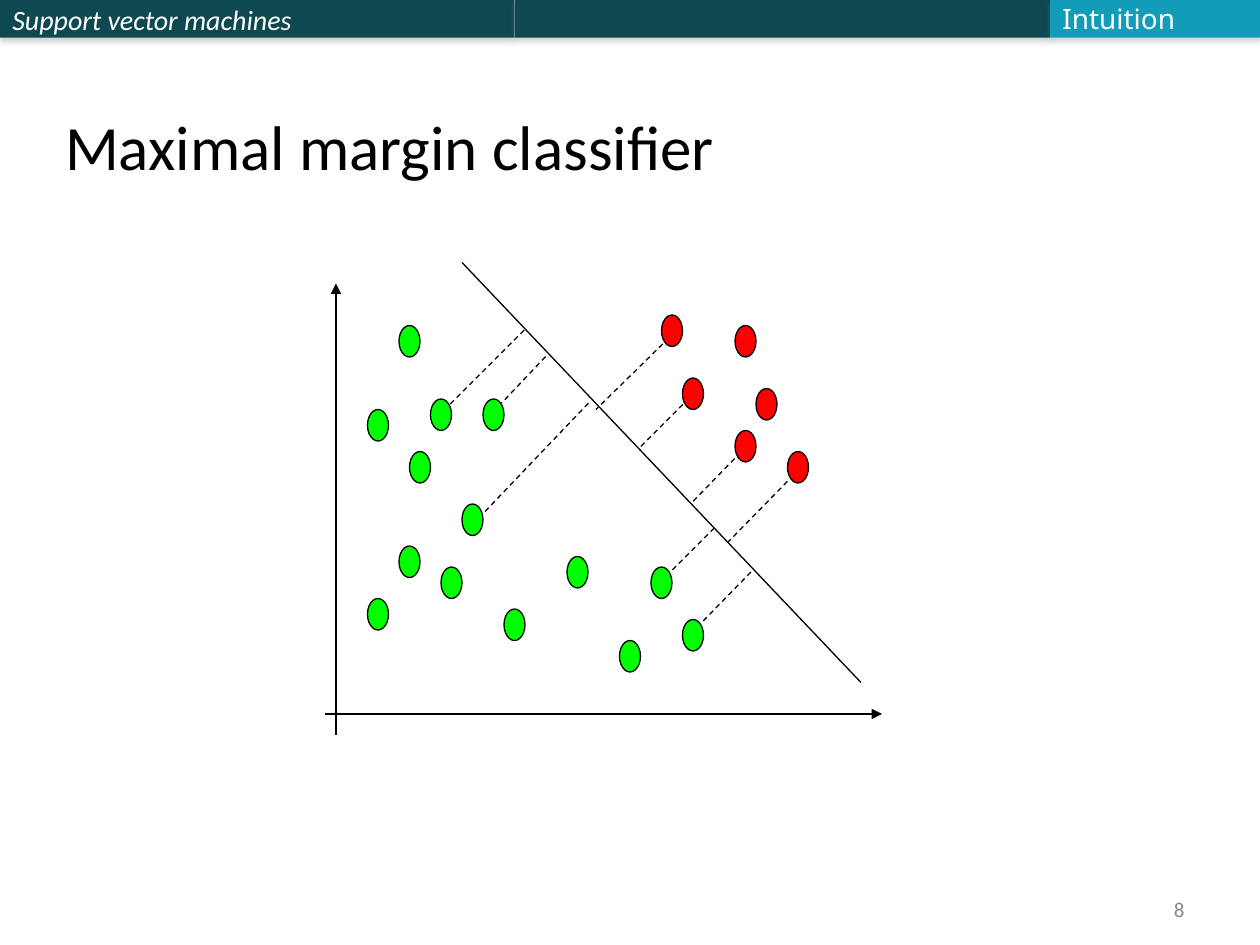
from lxml import etree
from pptx import Presentation
from pptx import util as u
from pptx.dml.color import RGBColor
from pptx.enum import dml, shapes, text
from pptx.oxml import parse_xml
from pptx.oxml.ns import nsdecls, qn

BLACK = RGBColor(0, 0, 0)
WHITE = RGBColor(0xFF, 0xFF, 0xFF)
PALE = RGBColor(0xFB, 0xFC, 0xFF)
GREY = RGBColor(0x89, 0x89, 0x89)
DARK = RGBColor(0x0E, 0x48, 0x51)
TEAL = RGBColor(0x13, 0x9C, 0xB7)
GREEN = RGBColor(0, 0xFF, 0)
RED = RGBColor(0xFF, 0, 0)

WIDE, HIGH = 10, 7.5
COLS = 120
CELL = WIDE / COLS

LEFT = [(38, 31), (41, 38), (46, 38), (39, 43), (35, 39), (38, 52), (42, 54),
        (35, 57), (44, 48), (48, 58), (59, 61), (54, 53), (65, 59), (62, 54)]
RIGHT = [(75, 43), (70, 41), (65, 36), (63, 30), (72, 37), (70, 31)]
GAPS = [(5.42, 3.21, 5.07, 3.56), (5.26, 2.73, 4.73, 3.25),
        (4.33, 2.83, 3.98, 3.2), (4.67, 3.2, 3.83, 4.08),
        (4.16, 2.62, 3.57, 3.21), (6.25, 3.82, 5.78, 4.3),
        (5.83, 3.64, 5.49, 3.99), (5.67, 4.19, 5.33, 4.53),
        (5.96, 4.54, 5.56, 4.95)]


def grid(*cells):
    """Turn grid columns and rows into inches."""
    return [cell * CELL for cell in cells]


def inch(box):
    """Turn plain numbers into slide lengths."""
    return [u.Inches(n) for n in box]


def write(frame, words, size, color, font="Calibri", italic=None,
          align=None, anchor=text.MSO_ANCHOR.MIDDLE):
    """Put one styled paragraph in a text frame."""
    frame.text = words
    frame.vertical_anchor = anchor
    para = frame.paragraphs[0]
    para.alignment = align
    para.font.name = font
    para.font.size = u.Pt(size)
    para.font.italic = italic
    para.font.color.rgb = color


def label(slide, box, words, size, color, wrap=True, **style):
    """Add a text box with one styled paragraph."""
    frame = slide.shapes.add_textbox(*inch(box)).text_frame
    frame.word_wrap = wrap
    write(frame, words, size, color, **style)
    return frame


def band(slide, start, end, fill):
    """Add one shaded part of the top bar between two columns."""
    bar = slide.shapes.add_shape(shapes.MSO_SHAPE.RECTANGLE,
                                 *inch([*grid(start, 0, end - start), 0.3]))
    bar.fill.solid()
    bar.fill.fore_color.rgb = fill
    bar.line.fill.background()
    bar._element.spPr.append(parse_xml(
        f'<a:effectLst {nsdecls("a")}><a:outerShdw blurRad="{u.Pt(3.1)}" '
        f'dist="{u.Pt(1.8)}" dir="5400000" rotWithShape="0">'
        '<a:srgbClr val="808080"><a:alpha val="35000"/></a:srgbClr>'
        '</a:outerShdw></a:effectLst>'))
    return bar


def dot(slide, col, row, fill):
    """Add one data point, two columns by three rows."""
    mark = slide.shapes.add_shape(shapes.MSO_SHAPE.OVAL,
                                  *inch(grid(col, row, 2, 3)))
    mark.shadow.inherit = False
    mark.fill.solid()
    mark.fill.fore_color.rgb = fill
    mark.line.color.rgb = BLACK
    mark.line.width = u.Pt(0.75)


def line(slide, ends, dash=False, arrow=False):
    """Add a thin black line, dashed or with an arrowhead if asked."""
    rule = slide.shapes.add_connector(shapes.MSO_CONNECTOR.STRAIGHT,
                                      *inch(ends))
    rule.line.color.rgb = BLACK
    rule.line.width = u.Pt(0.75)
    if dash:
        rule.line.dash_style = dml.MSO_LINE.DASH
    if arrow:
        etree.SubElement(rule.line._get_or_add_ln(), qn("a:tailEnd"),
                         type="triangle")
    etree.SubElement(rule._element.spPr, qn("a:effectLst"))


def header(slide):
    """Add the top bar with its section names."""
    topic = band(slide, 0, 49, DARK)
    write(topic.text_frame, "Support vector machines", 16, WHITE,
          italic=True, align=text.PP_ALIGN.LEFT)
    band(slide, 49, 100, DARK)
    band(slide, 100, COLS, TEAL)
    part = label(slide, [*grid(100), -0.04, 1.12, 0.37], "Intuition", 16, PALE,
                 wrap=False, font="Noto Sans")
    part.auto_size = text.MSO_AUTO_SIZE.SHAPE_TO_FIT_TEXT


def heading(slide):
    """Place and style the slide title."""
    title = slide.shapes.title
    title.left, title.top, title.width, title.height = inch(grid(5, 5, 111, 13))
    write(title.text_frame, "Maximal margin classifier", 36, BLACK,
          align=text.PP_ALIGN.LEFT, anchor=text.MSO_ANCHOR.BOTTOM)


def plot(slide):
    """Draw the axes, both classes, the boundary and the distances."""
    line(slide, grid(32, 70, 32, 27), arrow=True)
    line(slide, grid(31, 68, 84, 68), arrow=True)
    for group, fill in ((LEFT, GREEN), (RIGHT, RED)):
        for col, row in group:
            dot(slide, col, row, fill)
    line(slide, grid(44, 25, 82, 65))
    for ends in GAPS:
        line(slide, ends, dash=True)


def main():
    """Build the slide and save it."""
    deck = Presentation()
    deck.slide_width, deck.slide_height = inch((WIDE, HIGH))
    slide = deck.slides.add_slide(deck.slide_layouts[5])
    header(slide)
    heading(slide)
    plot(slide)
    label(slide, [*grid(86, 85, 28), 0.27], "8", 12, GREY,
          align=text.PP_ALIGN.RIGHT)
    deck.save("out.pptx")


if __name__ == "__main__":
    main()
